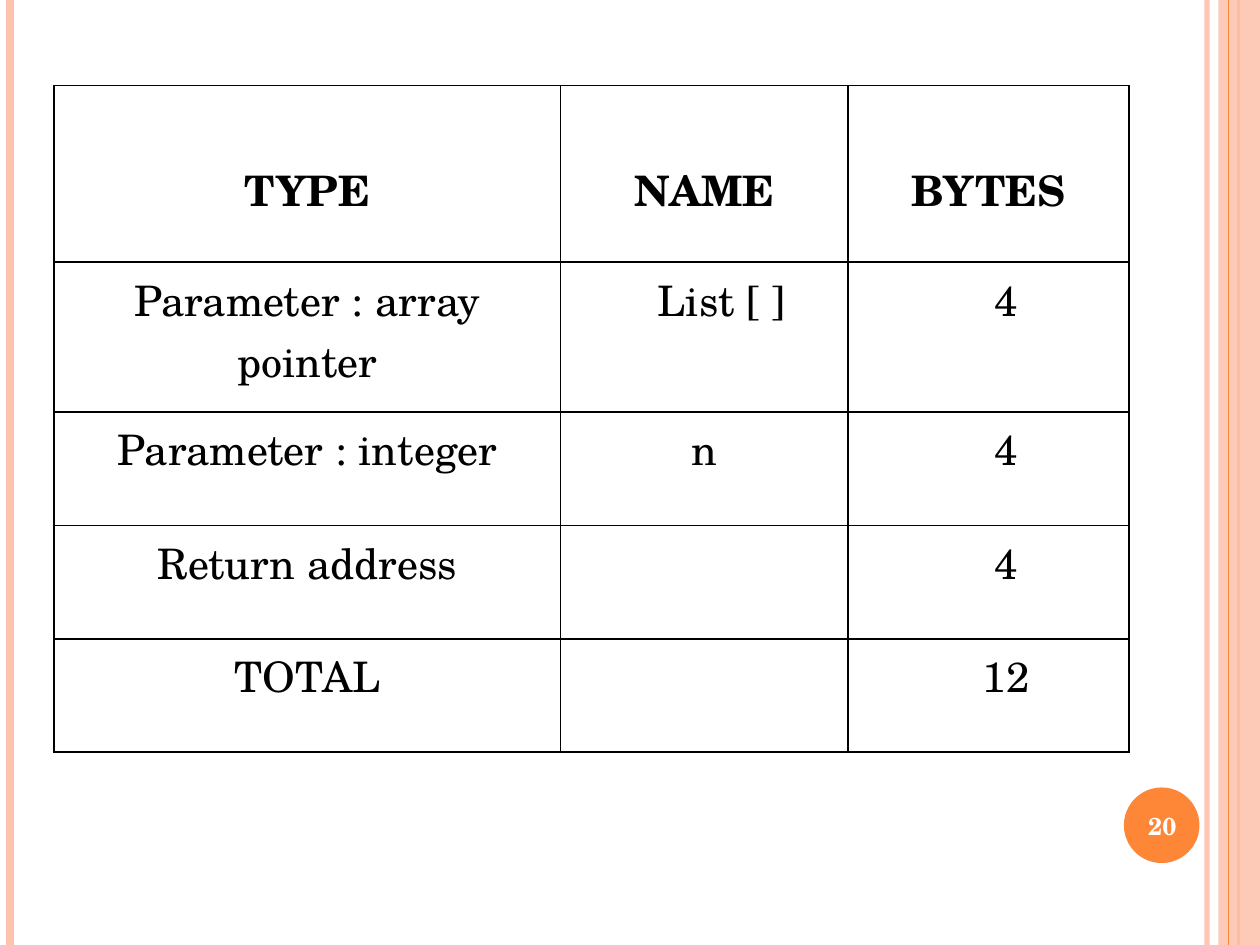
from dataclasses import dataclass

from lxml.etree import SubElement
from pptx import Presentation
from pptx.dml.color import RGBColor
from pptx.enum.shapes import MSO_CONNECTOR, MSO_SHAPE
from pptx.enum.text import MSO_ANCHOR, PP_ALIGN
from pptx.oxml.ns import qn
from pptx.util import Inches, Pt


@dataclass(frozen=True)
class Theme:
    font: str = "TeX Gyre Schola"
    ink: RGBColor = RGBColor(0, 0, 0)
    paper: RGBColor = RGBColor(255, 255, 255)
    peach: RGBColor = RGBColor(0xFE, 0xC3, 0xAE)
    orange: RGBColor = RGBColor(0xFE, 0x86, 0x37)
    table_size: Pt = Pt(24)
    number_size: Pt = Pt(14)
    border: Pt = Pt(1)


THEME = Theme()
PAGE_HEIGHT = 7.5
COLUMN_WIDTHS = (4.02, 2.28, 2.23)
ROW_HEIGHTS = (1.4, 1.19, 0.9, 0.9, 0.9)
HEADER_TOP = 0.57
SHIFTED_LEFT = 0.38
MEMORY_ROWS = (
    ("TYPE", "NAME", "BYTES"),
    ("Parameter : array pointer", "List [ ]", "4"),
    ("Parameter : integer", "n", "4"),
    ("Return address", "", "4"),
    ("TOTAL", "", "12"),
)


def set_opacity(fill_parent, percent):
    color = next(fill_parent.iter(qn("a:srgbClr")))
    SubElement(color, qn("a:alpha"), val=str(percent * 1000))


def add_stripe(slide, x, color, weight, opacity=100):
    stripe = slide.shapes.add_connector(
        MSO_CONNECTOR.STRAIGHT, Inches(x), 0, Inches(x), Inches(PAGE_HEIGHT))
    stripe.line.color.rgb = color
    stripe.line.width = Pt(weight)
    properties = stripe._element.spPr
    if opacity < 100:
        set_opacity(properties, opacity)
    SubElement(properties, qn("a:effectLst"))


def add_solid(slide, kind, left, top, width, height, color, opacity=100):
    solid = slide.shapes.add_shape(
        kind, Inches(left), Inches(top), Inches(width), Inches(height))
    solid.shadow.inherit = False
    solid.fill.solid()
    solid.fill.fore_color.rgb = color
    solid.line.fill.background()
    if opacity < 100:
        set_opacity(solid._element.spPr, opacity)


def style_text(paragraph, size, color, bold):
    paragraph.alignment = PP_ALIGN.CENTER
    paragraph.font.name = THEME.font
    paragraph.font.size = size
    paragraph.font.color.rgb = color
    paragraph.font.bold = bold


def add_page_number(slide, number):
    add_solid(slide, MSO_SHAPE.OVAL, 8.92, 6.25, 0.6, 0.6, THEME.orange)
    label = slide.shapes.add_textbox(
        Inches(8.89), Inches(6.27), Inches(0.67), Inches(0.57)).text_frame
    label.word_wrap = True
    label.vertical_anchor = MSO_ANCHOR.MIDDLE
    label.text = number
    style_text(label.paragraphs[0], THEME.number_size, THEME.paper, True)


def set_borders(cell):
    properties = cell._tc.get_or_add_tcPr()
    for index, side in enumerate(("lnL", "lnR", "lnT", "lnB")):
        edge = properties.makeelement(qn(f"a:{side}"), {"w": str(THEME.border)})
        ink = SubElement(edge, qn("a:solidFill"))
        SubElement(ink, qn("a:srgbClr"), val=str(THEME.ink))
        properties.insert(index, edge)


def add_memory_table(slide):
    table = slide.shapes.add_table(
        len(ROW_HEIGHTS), len(COLUMN_WIDTHS), Inches(0.43), Inches(0.68),
        Inches(sum(COLUMN_WIDTHS)), Inches(sum(ROW_HEIGHTS))).table
    for column, width in zip(table.columns, COLUMN_WIDTHS):
        column.width = Inches(width)
    for row, height in zip(table.rows, ROW_HEIGHTS):
        row.height = Inches(height)
    for r, entries in enumerate(MEMORY_ROWS):
        for c, entry in enumerate(entries):
            cell = table.cell(r, c)
            cell.text = entry
            cell.fill.solid()
            cell.fill.fore_color.rgb = THEME.paper
            style_text(cell.text_frame.paragraphs[0], THEME.table_size, THEME.ink, r == 0)
            set_borders(cell)
            if r == 0:
                cell.margin_top = Inches(HEADER_TOP)
            elif c == 2 or entry == "List [ ]":
                cell.margin_left = Inches(SHIFTED_LEFT)


def main():
    deck = Presentation()
    deck.slide_width = Inches(10)
    deck.slide_height = Inches(PAGE_HEIGHT)
    slide = deck.slides.add_slide(deck.slide_layouts[6])
    add_stripe(slide, 9.58, THEME.peach, 3, 93)
    add_stripe(slide, 0.08, THEME.peach, 4.5)
    add_stripe(slide, 9.83, THEME.orange, 1.5)
    add_solid(slide, MSO_SHAPE.RECTANGLE, 9.67, 0, 0.33, PAGE_HEIGHT, THEME.peach, 87)
    add_stripe(slide, 9.75, THEME.orange, 0.75)
    add_memory_table(slide)
    add_page_number(slide, "20")
    deck.save("out.pptx")


if __name__ == "__main__":
    main()
